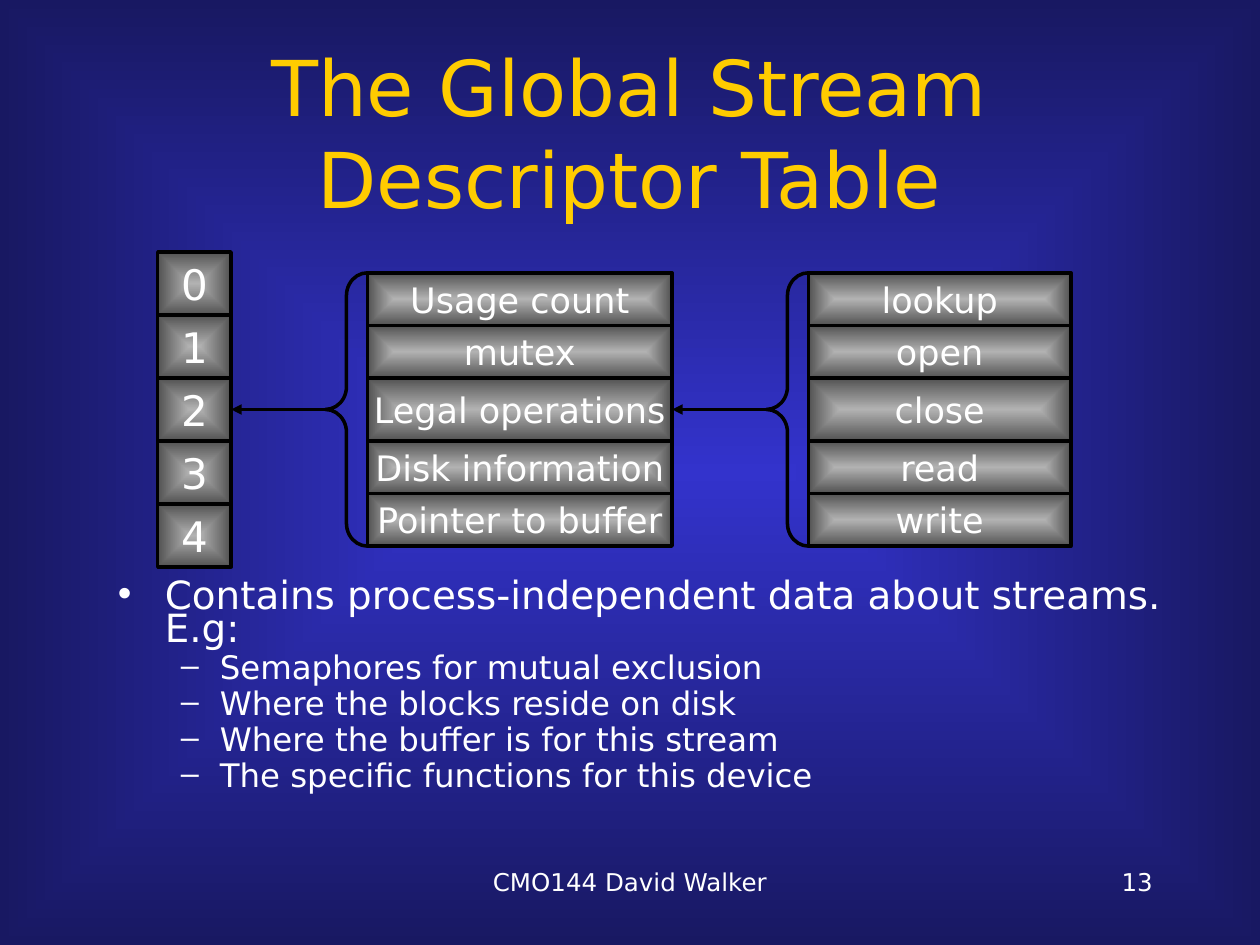
from lxml.etree import SubElement
from pptx import Presentation
from pptx.dml.color import RGBColor
from pptx.enum.shapes import MSO_CONNECTOR, MSO_SHAPE
from pptx.enum.text import MSO_ANCHOR, MSO_AUTO_SIZE, PP_ALIGN
from pptx.oxml.ns import qn
from pptx.util import Cm, Pt

# Content
TITLE = "The Global Stream\vDescriptor Table"
BULLETS = [
    (0, "Contains process-independent data about streams. E.g:"),
    (1, "Semaphores for mutual exclusion"),
    (1, "Where the blocks reside on disk"),
    (1, "Where the buffer is for this stream"),
    (1, "The specific functions for this device"),
]
DESCRIPTORS = ["0", "1", "2", "3", "4"]
FIELDS = ["Usage count", "mutex", "Legal operations", "Disk information", "Pointer to buffer"]
OPERATIONS = ["lookup", "open", "close", "read", "write"]

# Style
FONT = "DejaVu Sans"
WHITE = RGBColor(0xFF, 0xFF, 0xFF)
BLACK = RGBColor(0, 0, 0)
YELLOW = RGBColor(0xFF, 0xCC, 0x00)
BLUE = RGBColor(0x33, 0x33, 0xCC)
NAVY = RGBColor(0x18, 0x18, 0x62)
LIGHT_GREY = RGBColor(0xB2, 0xB2, 0xB2)
DARK_GREY = RGBColor(0x52, 0x52, 0x52)
# Level: size, space before, left margin, hanging indent
LEVELS = {0: (22.2, 6, 0.95, -0.95), 1: (18.5, 5, 2.06, -0.79)}

# Layout in centimetres
EVEN_ROWS = [1.27] * 5
RECORD_ROWS = [1.06, 1.06, 1.27, 1.06, 1.06]
RECORD_TOP = 5.5
BRACE_WIDTH = 0.85
COLUMNS = [  # texts, left, top, width, row heights, text size
    (DESCRIPTORS, 3.18, 5.08, 1.48, EVEN_ROWS, 24),
    (FIELDS, 7.41, RECORD_TOP, 6.14, RECORD_ROWS, 20),
    (OPERATIONS, 16.3, RECORD_TOP, 5.29, RECORD_ROWS, 20),
]


def fill_gradient(fill, owner, inner, outer):
    """Rectangular gradient running from the centre to the edges."""
    fill.gradient()
    for stop, color in zip(fill.gradient_stops, (inner, outer)):
        stop.color.rgb = color
    gradient = owner.find(".//" + qn("a:gradFill"))
    gradient.remove(gradient.find(qn("a:lin")))
    shade = SubElement(gradient, qn("a:path"), {"path": "rect"})
    SubElement(shade, qn("a:fillToRect"), dict.fromkeys("ltrb", "50000"))


def format_para(para, size, color, align):
    para.alignment = align
    for span in para.runs:
        span.font.name = FONT
        span.font.size = Pt(size)
        span.font.color.rgb = color


def place(box, left, top, width, height):
    box.left, box.top, box.width, box.height = map(Cm, (left, top, width, height))


def set_outline(shape):
    shape.line.color.rgb = BLACK
    shape.line.width = Pt(2)


def add_column(slide, texts, left, top, width, rows, size):
    for text, height in zip(texts, rows):
        cell = slide.shapes.add_shape(
            MSO_SHAPE.RECTANGLE, Cm(left), Cm(top), Cm(width), Cm(height))
        cell.shadow.inherit = False
        fill_gradient(cell.fill, cell.element, LIGHT_GREY, DARK_GREY)
        set_outline(cell)
        frame = cell.text_frame
        frame.word_wrap = False
        frame.vertical_anchor = MSO_ANCHOR.MIDDLE
        frame.text = text
        format_para(frame.paragraphs[0], size, WHITE, PP_ALIGN.CENTER)
        top += height


def add_brace_link(slide, source_right, record_left):
    """Brace around a record, with an arrow back to the cell it describes."""
    height = sum(RECORD_ROWS)
    middle = RECORD_TOP + height / 2
    brace_left = record_left - BRACE_WIDTH
    brace = slide.shapes.add_shape(
        MSO_SHAPE.LEFT_BRACE, Cm(brace_left), Cm(RECORD_TOP), Cm(BRACE_WIDTH), Cm(height))
    brace.adjustments[0] = 0.54
    brace.shadow.inherit = False
    brace.fill.background()
    set_outline(brace)

    arrow = slide.shapes.add_connector(
        MSO_CONNECTOR.STRAIGHT, Cm(source_right), Cm(middle), Cm(brace_left), Cm(middle))
    set_outline(arrow)
    SubElement(arrow.line._get_or_add_ln(), qn("a:headEnd"), {"type": "triangle"})
    SubElement(arrow.element.spPr, qn("a:effectLst"))


def add_footer(slide, text, left, width, align):
    box = slide.shapes.add_textbox(Cm(left), Cm(17.36), Cm(width), Cm(1.27))
    box.text_frame.word_wrap = True
    box.text_frame.text = text
    format_para(box.text_frame.paragraphs[0], 14, WHITE, align)


def main():
    deck = Presentation()
    deck.slide_width, deck.slide_height = Cm(25.4), Cm(19.05)
    slide = deck.slides.add_slide(deck.slide_layouts[1])
    fill_gradient(slide.background.fill, slide.element, BLUE, NAVY)

    # Title
    title = slide.shapes.title
    place(title, 1.9, 1.06, 21.59, 3.18)
    title.text_frame.text = TITLE
    title.text_frame.auto_size = MSO_AUTO_SIZE.NONE
    title.text_frame.vertical_anchor = MSO_ANCHOR.MIDDLE
    format_para(title.text_frame.paragraphs[0], 44, YELLOW, PP_ALIGN.CENTER)

    # Bullet list
    body = slide.placeholders[1]
    place(body, 2.12, 11.64, 21.59, 4.87)
    frame = body.text_frame
    frame.auto_size = MSO_AUTO_SIZE.NONE
    frame.text = "\n".join(text for _, text in BULLETS)
    for para, (level, _) in zip(frame.paragraphs, BULLETS):
        size, before, margin, indent = LEVELS[level]
        para.level = level
        para.line_spacing = 0.7
        para.space_before = Pt(before)
        format_para(para, size, WHITE, PP_ALIGN.LEFT)
        properties = para._p.get_or_add_pPr()
        properties.set("marL", str(Cm(margin)))
        properties.set("indent", str(Cm(indent)))

    # Tables of the diagram and the links between neighbours
    for column in COLUMNS:
        add_column(slide, *column)
    for source, record in zip(COLUMNS, COLUMNS[1:]):
        add_brace_link(slide, source[1] + source[3], record[1])

    # Footer
    add_footer(slide, "CMO144 David Walker", 8.68, 8.04, PP_ALIGN.CENTER)
    add_footer(slide, "13", 18.2, 5.29, PP_ALIGN.RIGHT)

    deck.save("out.pptx")


if __name__ == "__main__":
    main()
